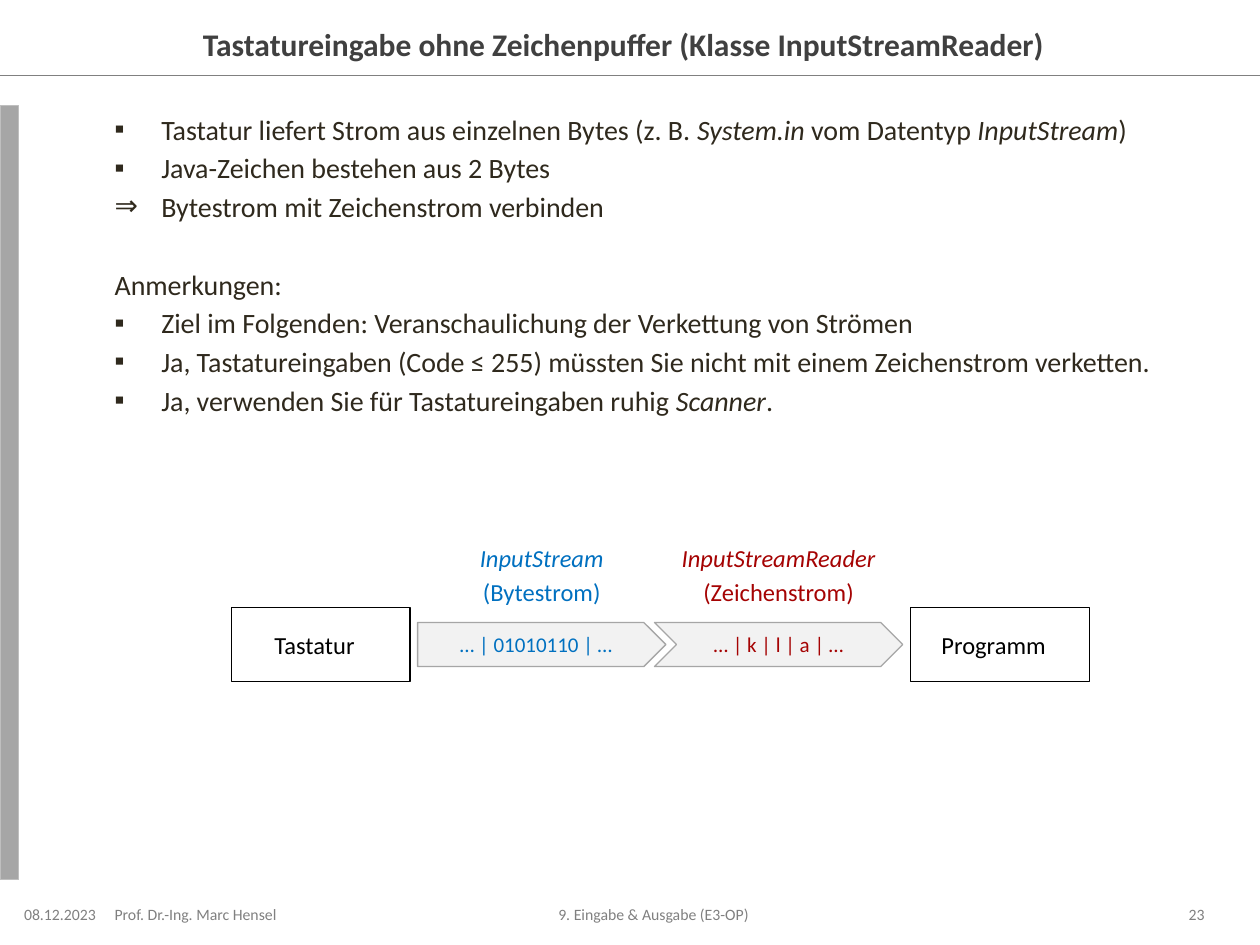
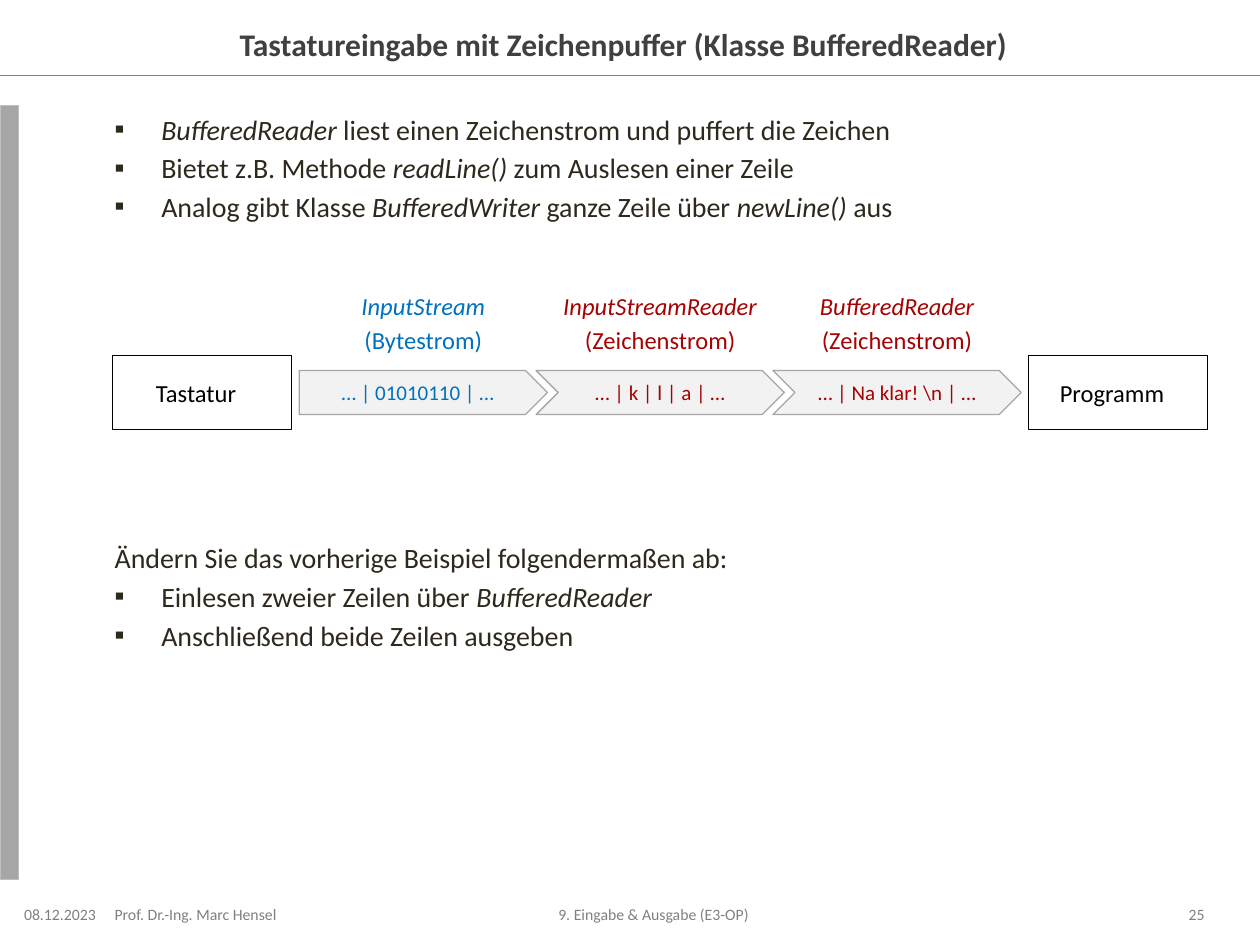
from dataclasses import dataclass

import lxml.etree
import pptx
import pptx.dml.color
import pptx.enum.shapes
import pptx.enum.text
import pptx.oxml.ns
import pptx.util

SLIDE_WIDTH = pptx.util.Inches(10)
SLIDE_HEIGHT = pptx.util.Inches(7.5)
COLUMN = SLIDE_WIDTH / 100
ROW = SLIDE_HEIGHT / 75

FONT = "Calibri"
GREY, BAR, BAR_EDGE = "808080", "A6A6A6", "BFBFBF"
TITLE_COLOR, BODY_COLOR = "404040", "2F291D"
BLACK, WHITE, ARROW_FILL = "000000", "FFFFFF", "F2F2F2"
BYTE_BLUE, CHARACTER_RED = "0070C0", "A50303"

LEFT = pptx.enum.text.PP_ALIGN.LEFT
CENTER = pptx.enum.text.PP_ALIGN.CENTER
RIGHT = pptx.enum.text.PP_ALIGN.RIGHT
TOP = pptx.enum.text.MSO_ANCHOR.TOP
MIDDLE = pptx.enum.text.MSO_ANCHOR.MIDDLE
RECTANGLE = pptx.enum.shapes.MSO_SHAPE.RECTANGLE
PENTAGON = pptx.enum.shapes.MSO_SHAPE.PENTAGON
CHEVRON = pptx.enum.shapes.MSO_SHAPE.CHEVRON

SPACING_SHARE = 0.18
BODY_LINE = 22.35
BULLET_INDENT = 3.7


@dataclass(frozen=True)
class Area:
    column: float
    row: float
    columns: float
    rows: float

    def lengths(self) -> tuple[int, int, int, int]:
        return (int(self.column * COLUMN), int(self.row * ROW),
                int(self.columns * COLUMN), int(self.rows * ROW))


@dataclass(frozen=True)
class Style:
    size: float
    color: str
    align: int = LEFT
    anchor: int = MIDDLE
    bold: bool = False
    insets: tuple[float, float, float, float] = (0, 0.5, 1, 0.5)


@dataclass(frozen=True)
class Line:
    text: str
    bullet: str = ""
    skipped_lines: int = 0


@dataclass(frozen=True)
class Stream:
    class_name: str
    kind: str
    data: str
    color: str


@dataclass(frozen=True)
class Lesson:
    title: str
    number: int
    lines: list[Line]
    streams: list[Stream]
    chain_row: float


TITLE_AREA = Area(12.4, 1.5, 75.2, 3.9)
BODY_AREA = Area(9.1, 8.4, 86.6, 61.4)
BAR_AREA = Area(0, 8.4, 1.5, 61.4)
HEADER_ROW = 6

TITLE = Style(18, TITLE_COLOR, CENTER, bold=True)
BODY = Style(16, BODY_COLOR, anchor=TOP)
NODE = Style(14, BLACK, CENTER)
FOOTER = Style(9, GREY)
FOOTER_CENTER = Style(9, GREY, CENTER)
FOOTER_RIGHT = Style(9, GREY, RIGHT, insets=(1, 0.5, 0, 0.5))

NODE_COLUMNS, NODE_ROWS = 14.2, 5.9
ARROW_COLUMNS, ARROW_ROWS = 19.7, 3.5
ARROW_STEP = 18.8
NODE_GAP = 0.6
LABEL_ROWS = 6.2
LABEL_RISE = 5.6

INPUT_STREAM = Stream("InputStream", "(Bytestrom)", "… | 01010110 | …", BYTE_BLUE)
STREAM_READER = Stream("InputStreamReader", "(Zeichenstrom)",
                       "… | k | l | a | …", CHARACTER_RED)
BUFFERED_READER = Stream("BufferedReader", "(Zeichenstrom)",
                         "… | Na klar! \\n | …", CHARACTER_RED)

LESSONS = [
    Lesson(
        "Tastatureingabe ohne Zeichenpuffer (Klasse InputStreamReader)", 23,
        [
            Line("Tastatur liefert Strom aus einzelnen Bytes (z. B. *System.in* "
                 "vom Datentyp *InputStream*)", "▪"),
            Line("Java-Zeichen bestehen aus 2 Bytes", "▪"),
            Line("Bytestrom mit Zeichenstrom verbinden", "⇒"),
            Line("Anmerkungen:", skipped_lines=1),
            Line("Ziel im Folgenden: Veranschaulichung der Verkettung von Strömen", "▪"),
            Line("Ja, Tastatureingaben (Code ≤ 255) müssten Sie nicht mit einem "
                 "Zeichenstrom verketten.", "▪"),
            Line("Ja, verwenden Sie für Tastatureingaben ruhig *Scanner*.", "▪"),
        ],
        [INPUT_STREAM, STREAM_READER], 48.2),
    Lesson(
        "Tastatureingabe mit Zeichenpuffer (Klasse BufferedReader)", 25,
        [
            Line("*BufferedReader* liest einen Zeichenstrom und puffert die Zeichen", "▪"),
            Line("Bietet z.B. Methode *readLine()* zum Auslesen einer Zeile", "▪"),
            Line("Analog gibt Klasse *BufferedWriter* ganze Zeile über "
                 "*newLine()* aus", "▪"),
            Line("Ändern Sie das vorherige Beispiel folgendermaßen ab:", skipped_lines=8),
            Line("Einlesen zweier Zeilen über *BufferedReader*", "▪"),
            Line("Anschließend beide Zeilen ausgeben", "▪"),
        ],
        [INPUT_STREAM, STREAM_READER, BUFFERED_READER], 28.2),
]


def rgb(color: str) -> pptx.dml.color.RGBColor:
    return pptx.dml.color.RGBColor.from_string(color)


def set_bullet(paragraph, bullet: str) -> None:
    properties = paragraph._p.get_or_add_pPr()
    indent = int(BULLET_INDENT * COLUMN) if bullet else 0
    properties.set("marL", str(indent))
    properties.set("indent", str(-indent))
    qualified = pptx.oxml.ns.qn
    if bullet:
        lxml.etree.SubElement(properties, qualified("a:buFont"), typeface=FONT)
        lxml.etree.SubElement(properties, qualified("a:buChar"), char=bullet)
    else:
        lxml.etree.SubElement(properties, qualified("a:buNone"))


def write(shape, lines: list[Line], style: Style) -> None:
    frame = shape.text_frame
    frame.word_wrap = True
    frame.auto_size = pptx.enum.text.MSO_AUTO_SIZE.NONE
    frame.vertical_anchor = style.anchor
    left, top, right, bottom = style.insets
    frame.margin_left, frame.margin_right = int(left * COLUMN), int(right * COLUMN)
    frame.margin_top, frame.margin_bottom = int(top * ROW), int(bottom * ROW)
    for index, line in enumerate(lines):
        paragraph = frame.add_paragraph() if index else frame.paragraphs[0]
        paragraph.alignment = style.align
        if len(lines) > 1:
            paragraph.space_before = pptx.util.Pt(
                style.size * SPACING_SHARE + line.skipped_lines * BODY_LINE)
        set_bullet(paragraph, line.bullet)
        for position, text in enumerate(line.text.split("*")):
            if text:
                run = paragraph.add_run()
                run.text = text
                run.font.name = FONT
                run.font.size = pptx.util.Pt(style.size)
                run.font.bold = style.bold
                run.font.italic = position % 2 == 1
                run.font.color.rgb = rgb(style.color)


def add_text(slide, area: Area, lines: list[Line], style: Style) -> None:
    write(slide.shapes.add_textbox(*area.lengths()), lines, style)


def add_outlined(slide, preset: int, area: Area, fill: str, edge: str):
    shape = slide.shapes.add_shape(preset, *area.lengths())
    shape.shadow.inherit = False
    shape.fill.solid()
    shape.fill.fore_color.rgb = rgb(fill)
    shape.line.color.rgb = rgb(edge)
    shape.line.width = pptx.util.Pt(0.75)
    return shape


def fill_placeholder(placeholder, area: Area, lines: list[Line], style: Style) -> None:
    placeholder.left, placeholder.top, placeholder.width, placeholder.height = area.lengths()
    write(placeholder, lines, style)


def add_frame(slide, number: int) -> None:
    height = int(HEADER_ROW * ROW)
    rule = slide.shapes.add_connector(
        pptx.enum.shapes.MSO_CONNECTOR.STRAIGHT, 0, height, SLIDE_WIDTH, height)
    rule.line.color.rgb = rgb(GREY)
    rule.line.width = pptx.util.Pt(0.75)
    lxml.etree.SubElement(rule._element.spPr, pptx.oxml.ns.qn("a:effectLst"))
    add_outlined(slide, RECTANGLE, BAR_AREA, BAR, BAR_EDGE)
    for text, column, columns, style in (
        ("08.12.2023", 1.5, 7.5, FOOTER_CENTER),
        ("Prof. Dr.-Ing. Marc Hensel", 9.1, 15, FOOTER),
        ("9. Eingabe & Ausgabe (E3-OP)", 24.8, 55.1, FOOTER_CENTER),
        (str(number), 89.2, 6.4, FOOTER_RIGHT),
    ):
        add_text(slide, Area(column, 71.8, columns, 1.5), [Line(text)], style)


def add_node(slide, name: str, column: float, row: float) -> None:
    area = Area(column, row, NODE_COLUMNS, NODE_ROWS)
    write(add_outlined(slide, RECTANGLE, area, WHITE, BLACK), [Line(name)], NODE)


def add_chain(slide, streams: list[Stream], row: float) -> None:
    arrows_columns = ARROW_COLUMNS + (len(streams) - 1) * ARROW_STEP
    first_arrow = BODY_AREA.column + (BODY_AREA.columns - arrows_columns) / 2
    add_node(slide, "Tastatur", first_arrow - NODE_GAP - NODE_COLUMNS, row)
    add_node(slide, "Programm", first_arrow + arrows_columns + NODE_GAP, row)
    arrow_row = row + (NODE_ROWS - ARROW_ROWS) / 2
    for index, stream in enumerate(streams):
        column = first_arrow + index * ARROW_STEP
        arrow = add_outlined(slide, CHEVRON if index else PENTAGON,
                             Area(column, arrow_row, ARROW_COLUMNS, ARROW_ROWS),
                             ARROW_FILL, BAR)
        write(arrow, [Line(stream.data)],
              Style(12, stream.color, CENTER, insets=(0, 0, 0, 0)))
        add_text(slide, Area(column, row - LABEL_RISE, ARROW_COLUMNS, LABEL_ROWS),
                 [Line(f"*{stream.class_name}*"), Line(stream.kind)],
                 Style(14, stream.color, CENTER, TOP, insets=(0, 0.5, 0, 0.5)))


def add_lesson(presentation, lesson: Lesson) -> None:
    slide = presentation.slides.add_slide(presentation.slide_layouts[1])
    add_frame(slide, lesson.number)
    fill_placeholder(slide.shapes.title, TITLE_AREA, [Line(lesson.title)], TITLE)
    fill_placeholder(slide.placeholders[1], BODY_AREA, lesson.lines, BODY)
    add_chain(slide, lesson.streams, lesson.chain_row)


def main() -> None:
    presentation = pptx.Presentation()
    presentation.slide_width = SLIDE_WIDTH
    presentation.slide_height = SLIDE_HEIGHT
    for lesson in LESSONS:
        add_lesson(presentation, lesson)
    presentation.save("out.pptx")


if __name__ == "__main__":
    main()
